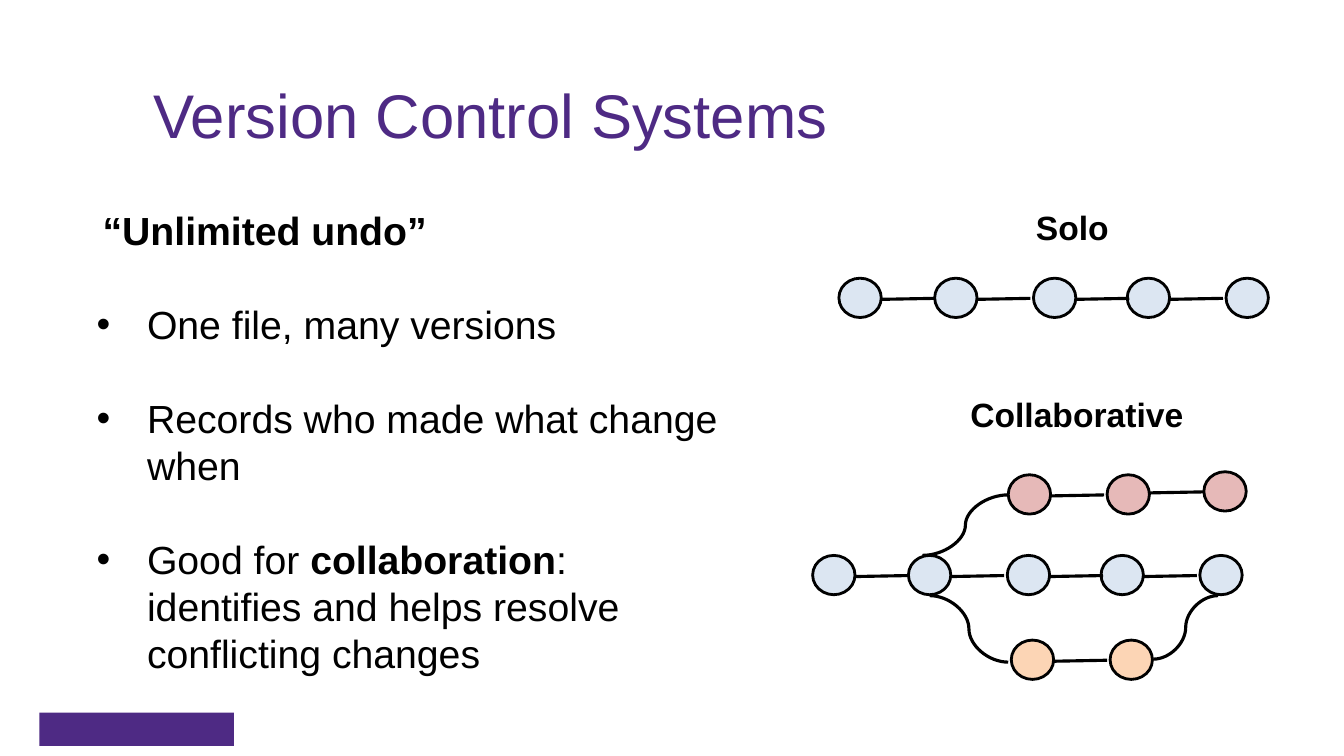
from lxml import etree
from pptx import Presentation
from pptx.dml.color import RGBColor
from pptx.enum import shapes, text
from pptx.oxml import ns
from pptx.util import Inches, Pt

PURPLE, BLACK = "4E2A84", "000000"
BLUE, RED, ORANGE = "DCE6F2", "E6B9B8", "FCD5B5"

TITLE = "Version Control Systems"
LEAD = "“Unlimited undo”"
# Each bullet is a list of (words, bold) spans.
BULLETS = [
    [("One file, many versions", False)],
    [("Records who made what change when", False)],
    [("Good for ", False), ("collaboration", True),
     (": identifies and helps resolve conflicting changes", False)],
]
# Words, left, top, width
LABELS = [("Solo", 9.88, 2, 1.51), ("Collaborative", 9.27, 3.86, 2.82)]

TRUNK_STEPS = [0, 0.95, 1.93, 2.86, 3.84]
# Fill, then the left and top of each commit in the row
HISTORIES = [
    (BLUE, [(8.32 + step, 2.76) for step in TRUNK_STEPS]),
    (BLUE, [(8.06 + step, 5.51) for step in TRUNK_STEPS]),
    (RED, [(10, 4.71), (10.98, 4.71), (11.94, 4.68)]),
    (ORANGE, [(10.03, 6.35), (11.01, 6.35)]),
]
# Branches and the merge: begin x, begin y, end x, end y
CURVES = [(10, 4.91, 9.15, 5.51), (10, 6.57, 9.22, 5.91), (11.44, 6.54, 12.08, 5.91)]
COMMIT_WIDTH, COMMIT_HEIGHT, LINK_LENGTH = 0.42, 0.39, 0.53
LINE_PITCH = Pt(33.6)


def color(value):
    return RGBColor.from_string(value)


def add_text(page, left, top, width, height):
    frame = page.shapes.add_textbox(*map(Inches, (left, top, width, height))).text_frame
    frame.word_wrap = True
    return frame


def style(span, size, value=BLACK, bold=False):
    span.font.name = "Arial"
    span.font.size = Pt(size)
    span.font.bold = bold
    span.font.color.rgb = color(value)


def indent(para, first, bullet=None):
    """Set a half-inch margin, the first-line offset and an optional bullet."""
    props = para._p.get_or_add_pPr()
    props.set("marL", str(Inches(0.5)))
    props.set("indent", str(Inches(first)))
    if bullet:
        etree.SubElement(props, ns.qn("a:buFont")).set("typeface", "Arial")
        etree.SubElement(props, ns.qn("a:buChar")).set("char", bullet)


def add_shape(page, kind, left, top, width, height, fill):
    shape = page.shapes.add_shape(kind, *map(Inches, (left, top, width, height)))
    shape.shadow.inherit = False
    shape.fill.solid()
    shape.fill.fore_color.rgb = color(fill)
    return shape


def add_link(page, kind, ends):
    link = page.shapes.add_connector(kind, *map(Inches, ends))
    link.line.color.rgb = color(BLACK)
    link.line.width = Pt(2.25)
    etree.SubElement(link._element.spPr, ns.qn("a:effectLst"))


def add_history(page, fill, commits):
    for left, top in commits:
        commit = add_shape(page, shapes.MSO_SHAPE.OVAL, left, top,
                           COMMIT_WIDTH, COMMIT_HEIGHT, fill)
        commit.line.color.rgb = color(BLACK)
        commit.line.width = Pt(2)
    for (left, _), (_, next_top) in zip(commits, commits[1:]):
        start = left + COMMIT_WIDTH
        add_link(page, shapes.MSO_CONNECTOR.STRAIGHT,
                 (start, next_top + 0.21, start + LINK_LENGTH, next_top + 0.2))


def add_body(page):
    frame = add_text(page, 0.86, 2, 6.39, 4.76)
    frame.text = LEAD
    indent(frame.paragraphs[0], -0.44)
    style(frame.paragraphs[0].runs[0], 28, bold=True)
    for spans in BULLETS:
        para = frame.add_paragraph()
        indent(para, -0.5, "•")
        para.line_spacing = para.space_before = LINE_PITCH
        for words, bold in spans:
            span = para.add_run()
            span.text = words
            style(span, 28, bold=bold)


def main():
    deck = Presentation()
    deck.slide_width, deck.slide_height = Inches(13.33), Inches(7.5)
    page = deck.slides.add_slide(deck.slide_layouts[6])

    bar = add_shape(page, shapes.MSO_SHAPE.RECTANGLE, 0.39, 7.07, 1.93, 0.33, PURPLE)
    bar.line.fill.background()

    title = add_text(page, 0.92, 0.4, 11.5, 1.45)
    title.vertical_anchor = text.MSO_ANCHOR.MIDDLE
    title.text = TITLE
    indent(title.paragraphs[0], 0)
    style(title.paragraphs[0].runs[0], 44, PURPLE)

    add_body(page)
    for words, left, top, width in LABELS:
        label = add_text(page, left, top, width, 0.5)
        label.text = words
        label.paragraphs[0].alignment = text.PP_ALIGN.CENTER
        style(label.paragraphs[0].runs[0], 24, bold=True)

    for fill, commits in HISTORIES:
        add_history(page, fill, commits)
    for ends in CURVES:
        add_link(page, shapes.MSO_CONNECTOR.CURVE, ends)

    deck.save("out.pptx")


if __name__ == "__main__":
    main()
